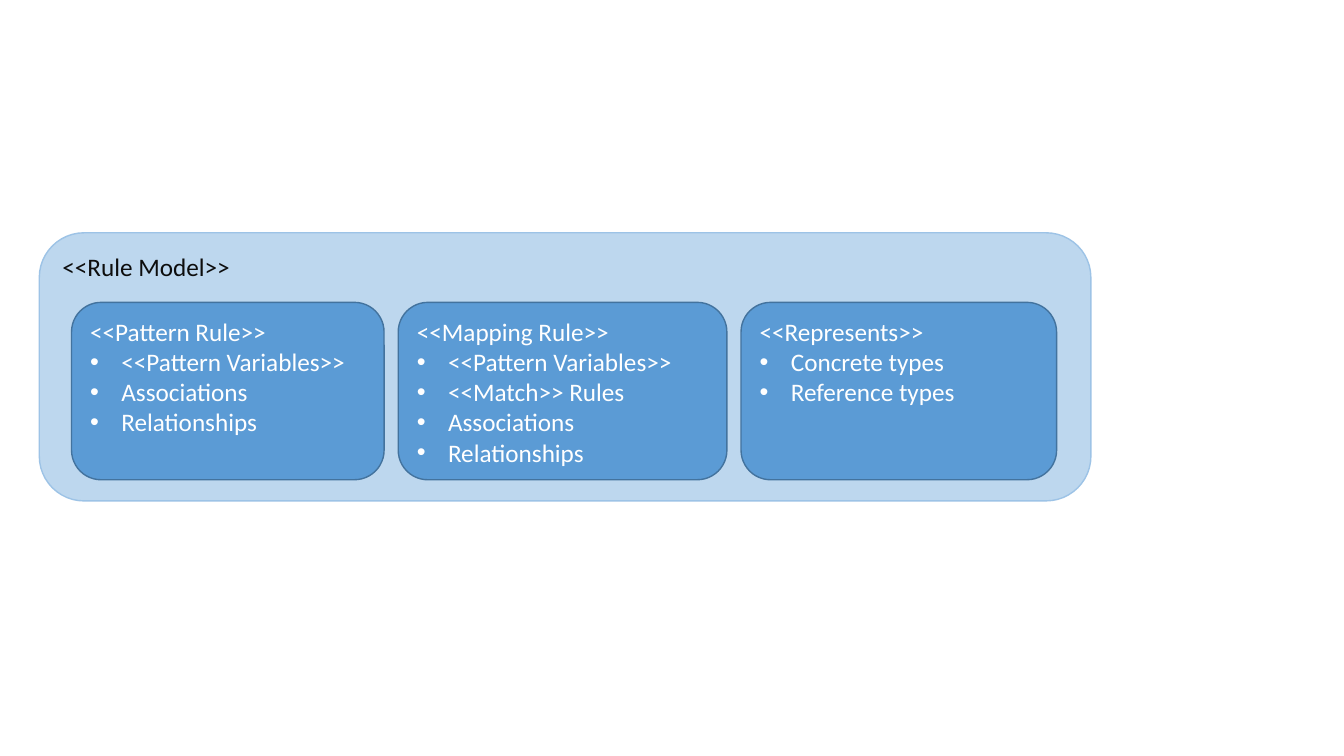
from lxml.etree import SubElement
from pptx import Presentation
from pptx.dml.color import RGBColor
from pptx.enum.shapes import MSO_SHAPE as Shape
from pptx.enum.text import MSO_ANCHOR as Anchor, PP_ALIGN as Align
from pptx.oxml.ns import qn
from pptx.util import Inches, Pt

COLOURS = {
    "model": "BDD7EE", "model_line": "9DC3E6", "model_text": "0D0D0D",
    "rule": "5B9BD5", "rule_line": "43739E", "rule_text": "FFFFFF",
}
INDENT = Inches(0.31)
GAP = 0.14
RULES = [
    (3.1, "<<Pattern Rule>>",
     ["<<Pattern Variables>>", "Associations", "Relationships"]),
    (3.26, "<<Mapping Rule>>",
     ["<<Pattern Variables>>", "<<Match>> Rules", "Associations", "Relationships"]),
    (3.13, "<<Represents>>", ["Concrete types", "Reference types"]),
]


def colour(name):
    """Look up a named colour."""
    return RGBColor.from_string(COLOURS[name])


def add_bullet(para):
    """Give a paragraph a hanging round bullet."""
    props = para._p.get_or_add_pPr()
    props.set("marL", str(INDENT))
    props.set("indent", str(-INDENT))
    SubElement(props, qn("a:buFont")).set("typeface", "Arial")
    SubElement(props, qn("a:buChar")).set("char", "•")


def add_panel(page, box, kind, title, items=()):
    """Draw a rounded panel with a title and bulleted items."""
    panel = page.shapes.add_shape(Shape.ROUNDED_RECTANGLE, *map(Inches, box))
    panel.shadow.inherit = False
    panel.fill.solid()
    panel.fill.fore_color.rgb = colour(kind)
    panel.line.color.rgb = colour(f"{kind}_line")
    panel.line.width = Pt(1)
    frame = panel.text_frame
    frame.word_wrap = True
    frame.vertical_anchor = Anchor.TOP
    for row, text in enumerate([title, *items]):
        para = frame.add_paragraph() if row else frame.paragraphs[0]
        para.alignment = Align.LEFT
        if row:
            add_bullet(para)
        span = para.add_run()
        span.text = text
        span.font.name = "Calibri"
        span.font.size = Pt(18)
        span.font.color.rgb = colour(f"{kind}_text")


def add_rule_model(page, box):
    """Draw the rule model with its rules side by side."""
    left, top, _, height = box
    add_panel(page, box, "model", "<<Rule Model>>")
    rule_left = left + 0.32
    for width, title, items in RULES:
        rule_box = (rule_left, top + 0.69, width, height - 0.9)
        add_panel(page, rule_box, "rule", title, items)
        rule_left += width + GAP


def main():
    """Build and save the deck."""
    deck = Presentation()
    deck.slide_width, deck.slide_height = Inches(13.33), Inches(7.5)
    page = deck.slides.add_slide(deck.slide_layouts[6])
    add_rule_model(page, (0.39, 2.31, 10.43, 2.66))
    deck.save("out.pptx")


if __name__ == "__main__":
    main()
